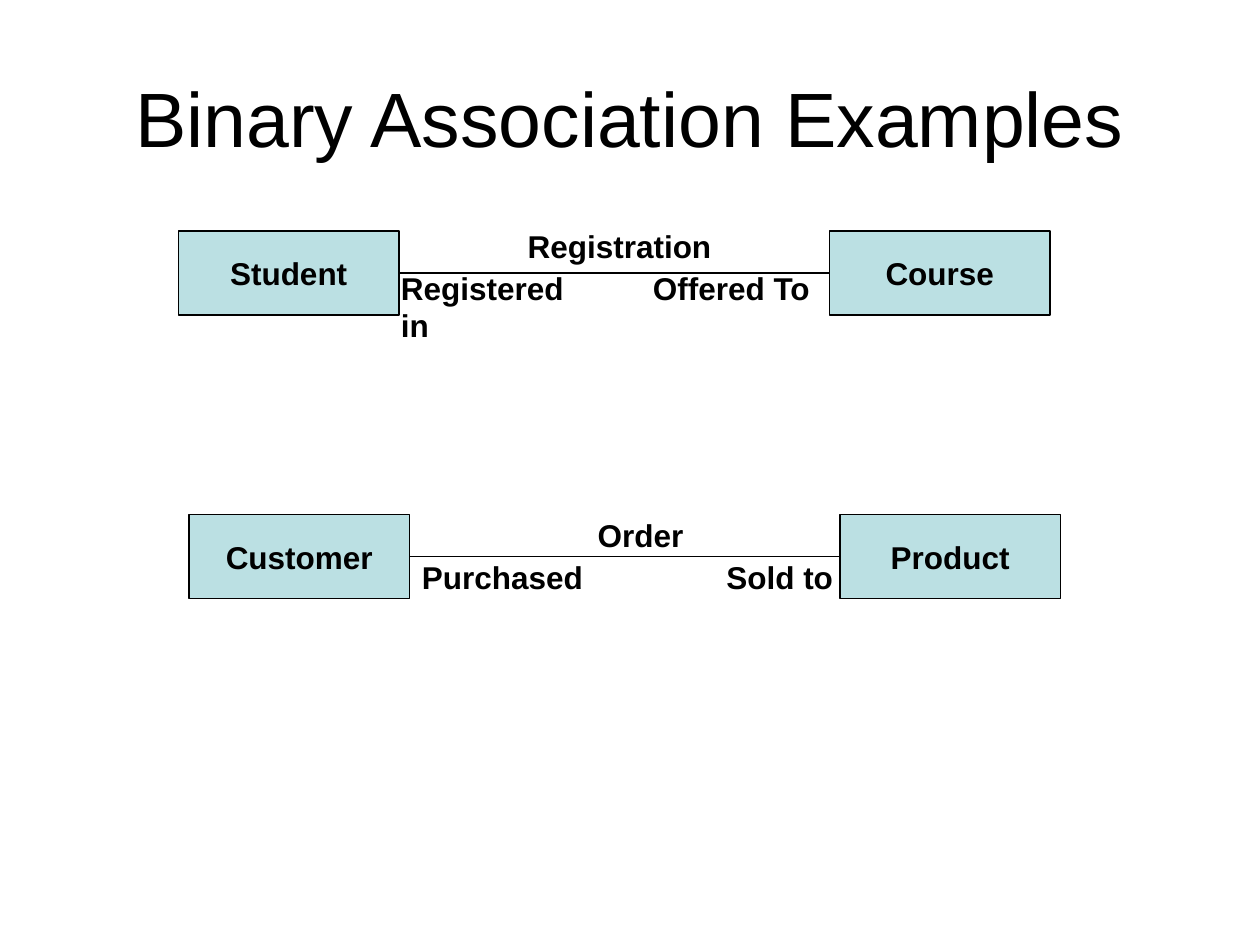
from pptx import Presentation
from pptx.dml.color import RGBColor
from pptx.enum import shapes, text
from pptx.oxml.ns import qn
from pptx.util import Pt

BLACK = RGBColor(0x00, 0x00, 0x00)
PALE_TEAL = RGBColor(0xBB, 0xE0, 0xE3)
BOX_WIDTH, BOX_HEIGHT = 126, 48
BOX_STEP = 372  # left edge to left edge within a pair
LABEL_HEIGHT = 28.8


def write(shape, wording, size, bold, alignment):
    paragraph = shape.text_frame.paragraphs[0]
    paragraph.alignment = alignment
    run = paragraph.add_run()
    run.text = wording
    run.font.name = "Arial"
    run.font.size = Pt(size)
    run.font.bold = bold
    run.font.color.rgb = BLACK
    return paragraph


presentation = Presentation()
presentation.slide_width, presentation.slide_height = Pt(720), Pt(540)
slide = presentation.slides.add_slide(presentation.slide_layouts[5])

# Title
title = slide.shapes.title
title.left, title.top, title.width, title.height = Pt(36), Pt(21.6), Pt(648), Pt(90)
title.text_frame.vertical_anchor = text.MSO_ANCHOR.MIDDLE
write(title, "Binary Association Examples", 44, False, text.PP_ALIGN.CENTER)

# Each association: left, top, class names, labels as (wording, left, top, width, alignment)
CENTER, LEFT = text.PP_ALIGN.CENTER, text.PP_ALIGN.LEFT
associations = [
    (102, 132, ("Student", "Course"), [
        ("Registration", 288, 126, 132, CENTER),
        ("Registered in", 222, 150, 126, LEFT),
        ("Offered To", 366, 150, 126, LEFT),
    ]),
    (108, 294, ("Customer", "Product"), [
        ("Order", 300, 291.6, 132, CENTER),
        ("Purchased", 234, 315.6, 126, LEFT),
        ("Sold to", 408, 315.6, 126, LEFT),
    ]),
]

for pair_left, pair_top, names, labels in associations:
    # Class boxes
    boxes = []
    for index, name in enumerate(names):
        box = slide.shapes.add_shape(
            shapes.MSO_SHAPE.RECTANGLE, Pt(pair_left + index * BOX_STEP), Pt(pair_top),
            Pt(BOX_WIDTH), Pt(BOX_HEIGHT))
        box.shadow.inherit = False
        box.fill.solid()
        box.fill.fore_color.rgb = PALE_TEAL
        box.line.color.rgb = BLACK
        box.line.width = Pt(0.75)
        box.text_frame.word_wrap = False
        box.text_frame.vertical_anchor = text.MSO_ANCHOR.MIDDLE
        write(box, name, 18, True, CENTER)
        boxes.append(box)

    # Association line
    middle = Pt(pair_top + BOX_HEIGHT / 2)
    line = slide.shapes.add_connector(
        shapes.MSO_CONNECTOR.STRAIGHT, Pt(pair_left + BOX_WIDTH), middle,
        Pt(pair_left + BOX_STEP), middle)
    line.begin_connect(boxes[0], 3)
    line.end_connect(boxes[1], 1)
    line.line.color.rgb = BLACK
    line.line.width = Pt(0.75)
    properties = line._element.spPr
    properties.append(properties.makeelement(qn("a:effectLst"), {}))

    # Association and role names
    for wording, left, top, width, alignment in labels:
        label = slide.shapes.add_textbox(Pt(left), Pt(top), Pt(width), Pt(LABEL_HEIGHT))
        label.text_frame.word_wrap = True
        label.text_frame.auto_size = text.MSO_AUTO_SIZE.SHAPE_TO_FIT_TEXT
        paragraph = write(label, wording, 18, True, alignment)
        paragraph.space_before = Pt(11.2)

presentation.save("out.pptx")
